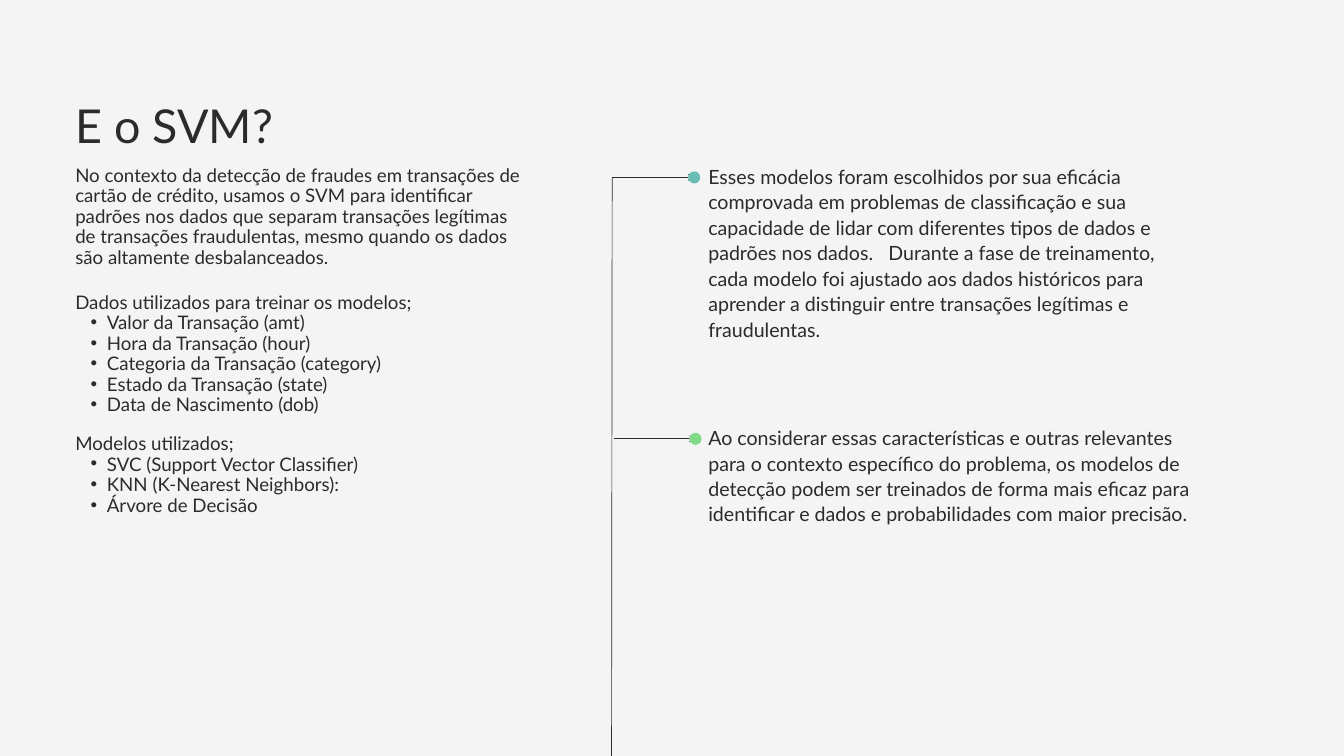
from dataclasses import dataclass
from lxml.etree import SubElement
from pptx import Presentation
from pptx.dml.color import RGBColor
from pptx.enum.shapes import MSO_CONNECTOR, MSO_SHAPE
from pptx.enum.text import MSO_ANCHOR, PP_ALIGN
from pptx.oxml.ns import qn
from pptx.util import Inches, Pt


@dataclass(frozen=True)
class Theme:
    back: RGBColor = RGBColor.from_string("F4F4F4")
    ink: RGBColor = RGBColor.from_string("2B2B2B")
    teal: RGBColor = RGBColor.from_string("68BDB2")
    green: RGBColor = RGBColor.from_string("80DB89")
    font: str = "Lato"
    head: int = 50
    note: int = 21
    body: int = 20
    line: float = 0.75


theme = Theme()


def write(shape, text, size=theme.body, lead=22, items=(), tab=None):
    frame = shape.text_frame
    frame.word_wrap = True
    frame.vertical_anchor = MSO_ANCHOR.TOP
    frame.margin_left = frame.margin_right = 0
    frame.margin_top = frame.margin_bottom = 0
    for row, words in enumerate([text, *items]):
        para = frame.add_paragraph() if row else frame.paragraphs[0]
        para.text = words
        para.alignment = PP_ALIGN.LEFT
        para.line_spacing = Pt(22 if row else lead)
        para.space_before = para.space_after = Pt(0)
        props = para._p.get_or_add_pPr()
        if row:
            para.level = 1
            props.set("marL", str(Inches(0.47)))
            props.set("indent", str(Inches(-0.24)))
            SubElement(props, qn("a:buFont"), typeface="Arial")
            SubElement(props, qn("a:buChar"), char="•")
        if tab:
            stops = SubElement(props, qn("a:tabLst"))
            SubElement(stops, qn("a:tab"), pos=str(Inches(tab)), algn="l")
        para.font.name = theme.font
        para.font.size = Pt(size)
        para.font.color.rgb = theme.ink


def link(x1, y1, x2, y2, arrow=False):
    line = slide.shapes.add_connector(
        MSO_CONNECTOR.STRAIGHT, Inches(x1), Inches(y1), Inches(x2), Inches(y2))
    line.line.color.rgb = theme.ink
    line.line.width = Pt(theme.line)
    if arrow:
        SubElement(line.line._get_or_add_ln(), qn("a:tailEnd"), type="arrow")
    SubElement(line._element.spPr, qn("a:effectLst"))


deck = Presentation()
deck.slide_width, deck.slide_height = Inches(20), Inches(11.25)
slide = deck.slides.add_slide(deck.slide_layouts[5])
slide.background.fill.solid()
slide.background.fill.fore_color.rgb = theme.back

left, wide = 1.12, 6.68
title = slide.shapes.title
title.left, title.top = Inches(left), Inches(1.51)
title.width, title.height = Inches(wide), Inches(0.78)
write(title, "E o SVM?", size=theme.head, lead=55)

blocks = [
    (2.46, 1.83, 22,
     "No contexto da detecção de fraudes em transações de cartão de crédito, "
     "usamos o SVM para identificar padrões nos dados que separam transações "
     "legítimas de transações fraudulentas, mesmo quando os dados são "
     "altamente desbalanceados.", []),
    (4.14, 2.39, 37.2, "Dados utilizados para treinar os modelos;",
     ["Valor da Transação (amt)", "Hora da Transação (hour)",
      "Categoria da Transação (category)", "Estado da Transação (state)",
      "Data de Nascimento (dob)"]),
    (6.26, 1.47, 36, "Modelos utilizados;",
     ["SVC (Support Vector Classifier)", "KNN (K-Nearest Neighbors):",
      "Árvore de Decisão"]),
]
for top, high, lead, text, items in blocks:
    box = slide.shapes.add_textbox(
        Inches(left), Inches(top), Inches(wide), Inches(high))
    write(box, text, lead=lead, items=items)

link(9.1, 11.83, 9.11, 2.64)

notes = [
    (9.11, 2.64, 2.25, theme.teal, 2.68,
     "Esses modelos foram escolhidos por sua eficácia comprovada em problemas "
     "de classificação e sua capacidade de lidar com diferentes tipos de dados "
     "e padrões nos dados.\tDurante a fase de treinamento, cada modelo foi "
     "ajustado aos dados históricos para aprender a distinguir entre "
     "transações legítimas e fraudulentas."),
    (9.13, 6.53, 1.5, theme.green, None,
     "Ao considerar essas características e outras relevantes para o contexto "
     "específico do problema, os modelos de detecção podem ser treinados de "
     "forma mais eficaz para identificar e dados e probabilidades com maior "
     "precisão."),
]
span, size = 1.22, 0.18
for x, y, high, color, tab, text in notes:
    link(x, y, x + span, y, arrow=True)
    dot = slide.shapes.add_shape(
        MSO_SHAPE.OVAL, Inches(x + span - size / 2), Inches(y - size / 2),
        Inches(size), Inches(size))
    dot.shadow.inherit = False
    dot.fill.solid()
    dot.fill.fore_color.rgb = color
    dot.line.fill.background()
    box = slide.shapes.add_textbox(
        Inches(10.54), Inches(y - 0.22), Inches(7.28), Inches(high))
    write(box, text, size=theme.note, lead=27.3, tab=tab)

deck.save("out.pptx")
